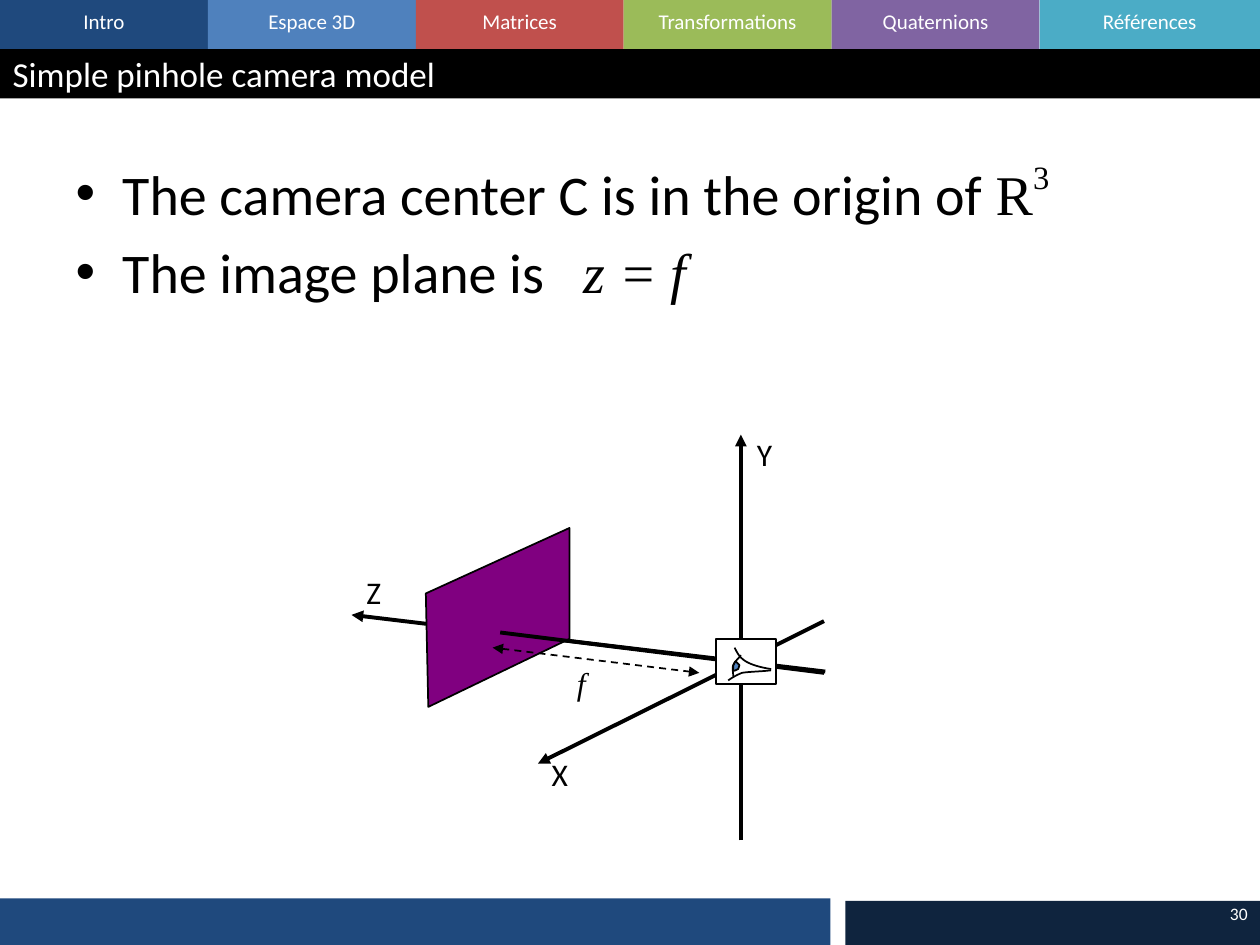
from lxml import etree
from pptx import Presentation
from pptx import util as u
from pptx.dml import color
from pptx.enum import dml, shapes, text
from pptx.oxml import ns

LEFT, MID, RIGHT = (text.PP_ALIGN.LEFT, text.PP_ALIGN.CENTER,
                    text.PP_ALIGN.RIGHT)
TOP, CENTRE = text.MSO_ANCHOR.TOP, text.MSO_ANCHOR.MIDDLE
SERIF = "Times New Roman"


def rgb(code):
    return color.RGBColor.from_string(code)


def add_xml(parent, tag, **attrs):
    return etree.SubElement(parent, ns.qn(tag), **attrs)


def write(para, words, size=18, font="Calibri", ink="000000",
          italic=False, raised=0):
    run = para.add_run()
    run.text = words
    face = run.font
    face.size, face.name, face.italic = u.Pt(size), font, italic
    face.color.rgb = rgb(ink)
    if raised:
        run._r.get_or_add_rPr().set("baseline", str(raised * 1000))


def curve(start, *parts, steps=8):
    """Points along cubic arcs, each given as two controls and an end."""
    points = [start]
    for one, two, end in parts:
        a = points[-1]
        for i in range(1, steps + 1):
            t = i / steps
            s = 1 - t
            points.append(tuple(
                s**3 * p + 3 * s * s * t * q + 3 * s * t * t * r + t**3 * v
                for p, q, r, v in zip(a, one, two, end)))
    return points


class Deck:
    def __init__(self):
        self.file = Presentation()
        self.file.slide_width = u.Inches(10)
        self.file.slide_height = u.Inches(7.5)
        self.slide = self.file.slides.add_slide(self.file.slide_layouts[1])
        self.items = self.slide.shapes

    def style(self, shape, fill=None, line=None):
        shape.shadow.inherit = False
        if fill:
            shape.fill.solid()
            shape.fill.fore_color.rgb = rgb(fill)
        else:
            shape.fill.background()
        if line:
            shape.line.color.rgb = rgb(line)
            shape.line.width = u.Pt(1)
        else:
            shape.line.fill.background()

    def rect(self, x, y, w, h, fill, line=None):
        box = self.items.add_shape(shapes.MSO_SHAPE.RECTANGLE,
                                   *map(u.Inches, (x, y, w, h)))
        self.style(box, fill, line)

    def label(self, x, y, w, h, words, align=LEFT, anchor=TOP, wrap=True,
              **form):
        box = self.items.add_textbox(*map(u.Inches, (x, y, w, h)))
        frame = box.text_frame
        frame.word_wrap, frame.vertical_anchor = wrap, anchor
        frame.paragraphs[0].alignment = align
        write(frame.paragraphs[0], words, **form)

    def holder(self, index, x, y, w, h, anchor):
        """Place a template placeholder in front and return its frame."""
        box = self.slide.placeholders[index]
        box.left, box.top, box.width, box.height = map(u.Inches, (x, y, w, h))
        self.items._spTree.append(box._element)
        frame = box.text_frame
        frame.auto_size = text.MSO_AUTO_SIZE.NONE
        frame.vertical_anchor = anchor
        return frame

    def title(self, words, *place):
        para = self.holder(0, *place, CENTRE).paragraphs[0]
        para.alignment = LEFT
        write(para, words, size=20, ink="FFFFFF")

    def bullets(self, rows, *place, stop):
        frame = self.holder(1, *place, TOP)
        for i, row in enumerate(rows):
            para = frame.add_paragraph() if i else frame.paragraphs[0]
            props = para._p.get_or_add_pPr()
            props.set("marL", str(u.Inches(0.37)))
            props.set("indent", str(u.Inches(-0.37)))
            gap = add_xml(props, "a:spcBef")
            add_xml(gap, "a:spcPct", val="20000")
            add_xml(props, "a:buFont", typeface="Arial")
            add_xml(props, "a:buChar", char="•")
            tabs = add_xml(props, "a:tabLst")
            add_xml(tabs, "a:tab", pos=str(u.Inches(stop)), algn="l")
            for words, form in row:
                write(para, words, size=32, **form)

    def line(self, start, end, width=2.25, dash=False, head=False,
             tail=False):
        link = self.items.add_connector(
            shapes.MSO_CONNECTOR.STRAIGHT, *map(u.Inches, start + end))
        link.line.color.rgb = rgb("000000")
        link.line.width = u.Pt(width)
        if dash:
            link.line.dash_style = dml.MSO_LINE.DASH
        stroke = link.line._get_or_add_ln()
        for on, tag in ((head, "a:headEnd"), (tail, "a:tailEnd")):
            if on:
                add_xml(stroke, tag, type="triangle")
        add_xml(link._element.spPr, "a:effectLst")

    def outline(self, points, fill=None, close=False):
        spots = [tuple(map(u.Inches, point)) for point in points]
        pen = self.items.build_freeform(*spots[0])
        pen.add_line_segments(spots[1:], close=close)
        self.style(pen.convert_to_shape(), fill, "000000")


deck = Deck()

# Section tabs
step, bar = 1.65, 0.39
tabs = [("Intro", "1F497D"), ("Espace 3D", "4F81BD"),
        ("Matrices", "C0504D"), ("Transformations", "9BBB59"),
        ("Quaternions", "8064A2"), ("Références", "4BACC6")]
for i, (name, fill) in enumerate(tabs):
    wide = step if i < len(tabs) - 1 else 10 - i * step
    deck.rect(i * step, 0, wide, bar, fill)
    deck.label(i * step, 0.02, wide, 0.3, name, align=MID, size=12,
               ink="FFFFFF")

# Title bar and footer
deck.rect(0, bar, 10, bar, "000000")
deck.rect(0, 7.13, 6.59, 0.37, "1F497D")
deck.rect(6.71, 7.15, 3.29, 0.35, "0F243E")
deck.label(7.67, 7, 2.33, 0.5, "30", align=RIGHT, anchor=CENTRE, size=10,
           ink="FFFFFF")
deck.title("Simple pinhole camera model", 0, bar, 10, bar)

# Statements
deck.bullets([
    [("The camera center C is in the origin of ", {}),
     ("R", {"font": SERIF}), ("3", {"font": SERIF, "raised": 45})],
    [("The image plane is\t", {}),
     ("z = f", {"font": SERIF, "italic": True})],
], 0.5, 1.2, 9, 5.5, stop=4.03)

# Axes
deck.line((5.88, 6.67), (5.88, 3.45), tail=True)
deck.line((6.55, 5.33), (2.79, 4.88), tail=True)
deck.line((6.54, 4.93), (4.27, 6.06), tail=True)
for name, x, y in (("X", 4.28, 5.94), ("Y", 5.91, 3.4), ("Z", 2.81, 4.5)):
    deck.label(x, y, 0.37, 0.4, name, wrap=False)

# Image plane and the axis in front of it
deck.outline([(3.4, 5.61), (4.52, 5.07), (4.52, 4.19), (3.38, 4.71)],
             fill="800080", close=True)
deck.line((3.97, 5.02), (6.54, 5.34))

# Eye at the camera center
deck.rect(5.68, 5.07, 0.48, 0.36, "FFFFFF", "000000")
deck.outline(curve((6.12, 5.31), ((6.05, 5.3), (5.97, 5.28), (5.92, 5.25)),
                   ((5.87, 5.22), (5.85, 5.18), (5.83, 5.14))))
deck.outline(curve((6.12, 5.32), ((6.04, 5.33), (5.95, 5.33), (5.89, 5.34)),
                   ((5.84, 5.36), (5.81, 5.38), (5.78, 5.4))))
deck.outline(curve((5.88, 5.2), ((5.86, 5.23), (5.83, 5.25), (5.82, 5.28)),
                   ((5.81, 5.3), (5.82, 5.34), (5.82, 5.37))))
deck.outline(curve((5.84, 5.25), ((5.84, 5.25), (5.86, 5.27), (5.87, 5.28)),
                   ((5.87, 5.28), (5.86, 5.3), (5.86, 5.31)),
                   ((5.85, 5.31), (5.83, 5.33), (5.82, 5.32)),
                   ((5.82, 5.32), (5.82, 5.29), (5.82, 5.28)),
                   ((5.83, 5.27), (5.83, 5.25), (5.84, 5.25))),
             fill="4F81BD", close=True)

# Focal length
deck.line((3.91, 5.14), (5.55, 5.34), width=1, dash=True, head=True,
          tail=True)
deck.label(4.48, 5.22, 0.27, 0.4, "f", wrap=False, font=SERIF, italic=True)

deck.file.save("out.pptx")
